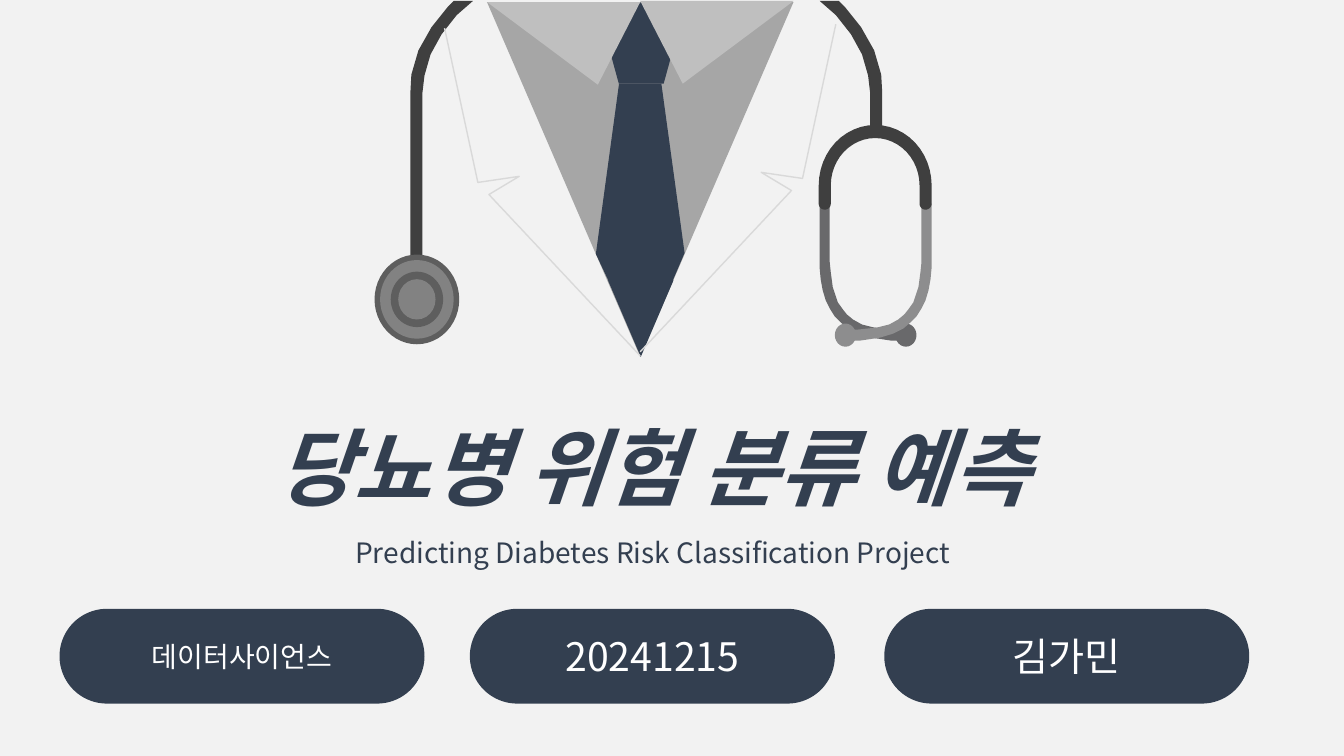
from math import cos, pi, sin

from lxml import etree
from pptx import Presentation
from pptx.dml.color import RGBColor
from pptx.enum.shapes import MSO_SHAPE
from pptx.enum.text import MSO_ANCHOR, MSO_AUTO_SIZE, PP_ALIGN
from pptx.oxml.ns import qn
from pptx.util import Inches, Pt

TRIANGLE, PENTAGON = MSO_SHAPE.ISOSCELES_TRIANGLE, MSO_SHAPE.REGULAR_PENTAGON
OVAL, PILL = MSO_SHAPE.OVAL, MSO_SHAPE.ROUNDED_RECTANGLE
MIDDLE, CENTER, NO_FIT = MSO_ANCHOR.MIDDLE, PP_ALIGN.CENTER, MSO_AUTO_SIZE.NONE

THEME = {
    "font": "Noto Sans CJK KR",
    "background": "F2F2F2", "navy": "333F50", "white": "FFFFFF",
    "shirt": "A6A6A6", "collar": "BFBFBF", "lapel": "D9D9D9",
    "rubber": "3F3F3F", "rim": "5E5E5E", "disc": "828282",
    "dark steel": "69696B", "light steel": "8D8D8E",
    "title": 60, "subtitle": 20, "label": 20, "large label": 28,
}
# The slide is a grid of 1333 columns by 750 rows; all lengths count grid cells.
CELL = Inches(0.01)

presentation = Presentation()
presentation.slide_width, presentation.slide_height = Inches(13.33), Inches(7.5)
slide = presentation.slides.add_slide(presentation.slide_layouts[0])
slide.background.fill.solid()
slide.background.fill.fore_color.rgb = RGBColor.from_string(THEME["background"])
doctor = slide.shapes.add_group_shape()


def paint(shape, color):
    shape.shadow.inherit = False
    shape.fill.solid()
    shape.fill.fore_color.rgb = RGBColor.from_string(THEME[color])
    shape.line.fill.background()


def draw_outline(points, close=True):
    """Add a freeform through grid points to the doctor group."""
    corners = [(round(x * CELL), round(y * CELL)) for x, y in points]
    builder = doctor.shapes.build_freeform(*corners[0])
    builder.add_line_segments(corners[1:], close=close)
    return builder.convert_to_shape()


# Shirt, tie knot, collar wings and tie tip
for kind, box, color, turn, peak in [
    (TRIANGLE, (483, 2, 304, 352), "shirt", 180, 0.5),
    (PENTAGON, (600, 2, 72, 81), "navy", 0, None),
    (TRIANGLE, (483, 2, 152, 82), "collar", 180, 0.277),
    (TRIANGLE, (635, 1, 152, 82), "collar", 180, 0.723),
    (TRIANGLE, (603, 278, 65, 76), "navy", 180, 0.5),
]:
    part = doctor.shapes.add_shape(kind, *[n * CELL for n in box])
    part.rotation = turn
    if peak is not None:
        part.adjustments[0] = peak
    paint(part, color)

tie = [(614, 83), (656, 83), (679, 251), (664, 286), (607, 286), (591, 252)]
paint(draw_outline(tie), "navy")

# Hoses: one bend, mirrored for the right side, with its own lower end
hose_inner = [(469, 1), (453, 15), (438, 34), (427, 54), (421, 75), (419, 92)]
hose_outer = [(407, 92), (408, 74), (415, 50), (428, 27), (444, 7), (450, 1)]
for mirrored, bottom in [(False, 320), (True, 134)]:
    hose = hose_inner + [(419, bottom), (407, bottom)] + hose_outer
    if mirrored:
        hose = [(1282 - x, y) for x, y in hose]
    paint(draw_outline(hose), "rubber")

# Chest piece: concentric discs
for width, height, color in [(84, 89, "rim"), (73, 78, "disc"),
                             (52, 55, "rim"), (37, 40, "disc")]:
    disc = doctor.shapes.add_shape(
        OVAL, round((413.5 - width / 2) * CELL), round((297 - height / 2) * CELL),
        width * CELL, height * CELL)
    paint(disc, color)

# Ear tubes: one tube with its ear tip, mirrored for the other ear
ear_tube = [
    (899, 338), (884, 338), (864, 335), (851, 331), (841, 326), (834, 320),
    (828, 314), (823, 306), (819, 298), (816, 288), (814, 277), (813, 266),
    (813, 202), (823, 202), (823, 260), (824, 270), (826, 285), (831, 300),
    (836, 307), (840, 312), (846, 317), (855, 322), (867, 325), (886, 327), (899, 327),
]
for mirrored, tip_left, color in [(False, 888, "dark steel"), (True, 828, "light steel")]:
    tube = [(1737 - x, y) for x, y in ear_tube] if mirrored else ear_tube
    paint(draw_outline(tube), color)
    tip = doctor.shapes.add_shape(OVAL, tip_left * CELL, 321 * CELL, 21 * CELL, 23 * CELL)
    paint(tip, color)

# Yoke: outer arch, round end, inner arch back, round end
yoke = []
for center_x, center_y, radius_x, radius_y, start, sweep in [
    (868, 184, 56, 60, pi, pi),
    (918, 202, 6, 6, 0, pi),
    (868, 184, 44, 47, 2 * pi, -pi),
    (818, 202, 6, 6, 0, pi),
]:
    for step in range(25):
        angle = start + sweep * step / 24
        yoke.append((center_x + radius_x * cos(angle), center_y + radius_y * sin(angle)))
paint(draw_outline(yoke), "rubber")

# Coat lapels
lapel = [(441, 28), (474, 181), (515, 175), (485, 193), (635, 353)]
for points in [lapel, [(1270 - x, y - 4) for x, y in lapel]]:
    edge = draw_outline(points, close=False)
    edge.shadow.inherit = False
    edge.fill.background()
    edge.line.color.rgb = RGBColor.from_string(THEME["lapel"])
    edge.line.width = Pt(1)

# Title, subtitle and the row of pills
title, subtitle = slide.placeholders
for placeholder, top, height in [(title, 400, 124), (subtitle, 523, 50)]:
    placeholder.left, placeholder.top = 168 * CELL, top * CELL
    placeholder.width, placeholder.height = 959 * CELL, height * CELL

texts = [
    (title, "당뇨병 위험 분류 예측", "title", "navy", True),
    (subtitle, "Predicting Diabetes Risk Classification Project", "subtitle", "navy", False),
]
for left, label, size in [(59, "데이터사이언스", "label"),
                          (466, "20241215", "large label"),
                          (877, "김가민", "large label")]:
    pill = slide.shapes.add_shape(PILL, left * CELL, 604 * CELL, 362 * CELL, 94 * CELL)
    pill.adjustments[0] = 0.5
    paint(pill, "navy")
    texts.append((pill, label, size, "white", False))

for shape, wording, size, color, strong in texts:
    frame = shape.text_frame
    frame.text = wording
    paragraph = frame.paragraphs[0]
    font = paragraph.runs[0].font
    for target, formats in [
        (frame, {"word_wrap": True, "auto_size": NO_FIT, "vertical_anchor": MIDDLE}),
        (paragraph, {"alignment": CENTER, "line_spacing": 1.0, "space_before": Pt(0)}),
        (font, {"name": THEME["font"], "size": Pt(THEME[size]),
                "bold": strong, "italic": strong}),
    ]:
        for attribute, value in formats.items():
            setattr(target, attribute, value)
    font.color.rgb = RGBColor.from_string(THEME[color])
    properties = paragraph.runs[0]._r.get_or_add_rPr()
    etree.SubElement(properties, qn("a:ea"), typeface=THEME["font"])

presentation.save("out.pptx")
